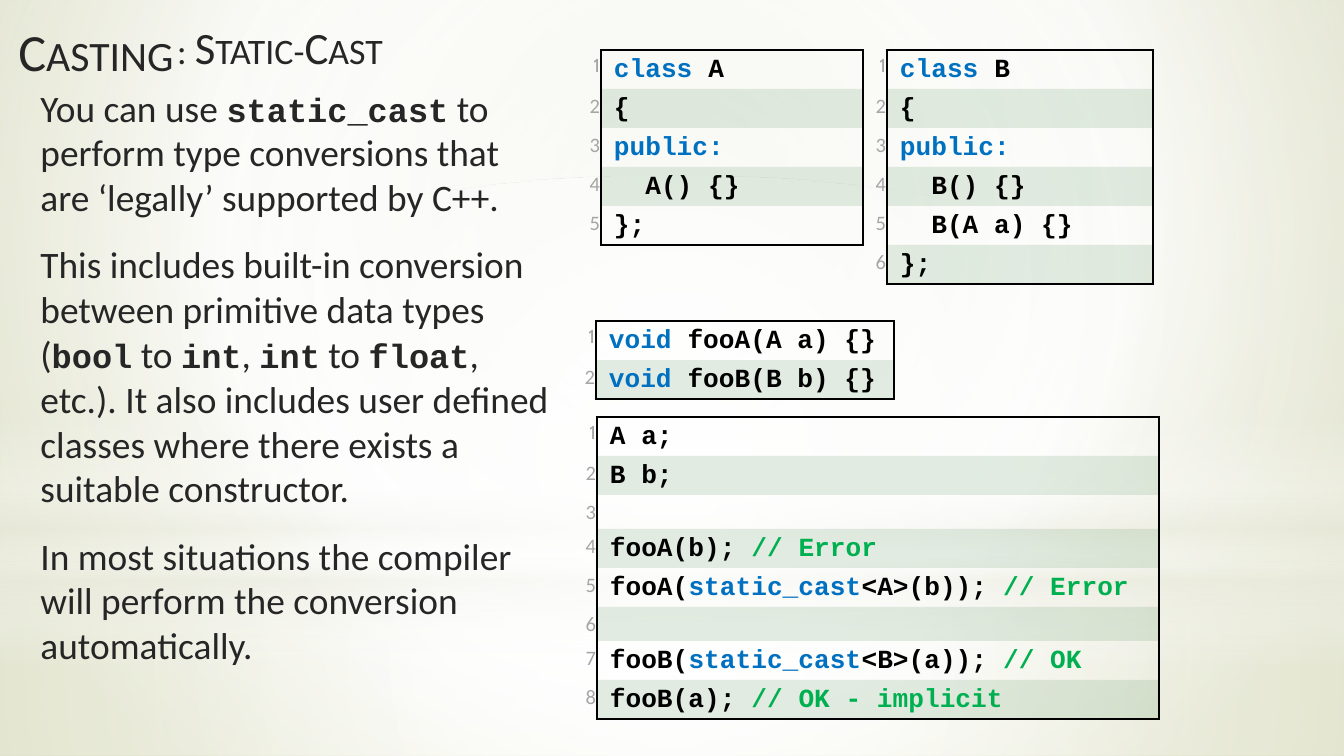
"""Build the slide about static casts, with code listings in tables."""
from dataclasses import dataclass
from typing import NamedTuple, Optional

from lxml.etree import SubElement
from pptx import Presentation
from pptx.dml.color import RGBColor
from pptx.enum.shapes import MSO_SHAPE as Preset
from pptx.enum.text import MSO_ANCHOR as Anchor, MSO_AUTO_SIZE as AutoSize, PP_ALIGN as Align
from pptx.oxml.ns import qn
from pptx.util import Pt

WIDTH, HEIGHT = 1344, 756
SCALE = 9144000 / WIDTH
ROW, EMPTY_ROW, CELL_INSET, CODE_INDENT = 39, 34, 1, 12
PLAIN_TABLE = "{2D5ABB26-0587-4C30-8999-92F81FD0307C}"

WHITE = RGBColor(0xFF, 0xFF, 0xFF)
CREAM = RGBColor(0xEA, 0xEB, 0xDE)
SAGE = RGBColor(0xE3, 0xE5, 0xD1)
OLIVE = RGBColor(0xCC, 0xD0, 0x9F)
GREEN_BAND = RGBColor(0x72, 0xA3, 0x76)
CHARCOAL = RGBColor(0x26, 0x26, 0x26)
BLACK = RGBColor(0, 0, 0)
GRAY = RGBColor(0xA6, 0xA6, 0xA6)
BLUE = RGBColor(0x00, 0x70, 0xC0)
GREEN = RGBColor(0x00, 0xB0, 0x50)


class Box(NamedTuple):
    left: int
    top: int
    width: int
    height: int


class Stop(NamedTuple):
    position: int
    color: RGBColor
    opacity: int = 100


class Gradient(NamedTuple):
    stops: list[Stop]
    focus: Optional[tuple[int, int, int, int]] = (50, 50, 50, 50)


class Glow(NamedTuple):
    preset: Preset
    box: Box
    gradient: Gradient


@dataclass(frozen=True)
class Style:
    font: str
    size: int
    color: RGBColor
    bold: bool = False
    small_caps: bool = False


class Span(NamedTuple):
    text: str
    style: Style


@dataclass(frozen=True)
class Listing:
    left: int
    top: int
    number_width: int
    code_width: int
    lines: list[list[Span]]


TITLE = Style("Calibri", 28, CHARCOAL, small_caps=True)
SUBTITLE = Style("Calibri", 24, CHARCOAL, small_caps=True)
BODY = Style("Calibri", 20, CHARCOAL)
BODY_CODE = Style("Courier New", 18, CHARCOAL, bold=True)
FIRST_NUMBER = Style("Cabin", 10, GRAY)
NUMBER = Style("Calibri", 11, GRAY)
CODE = Style("Courier New", 14, BLACK, bold=True)
KEYWORD = Style("Courier New", 14, BLUE, bold=True)
COMMENT = Style("Courier New", 14, GREEN, bold=True)

BACKGROUND = Gradient([Stop(0, SAGE), Stop(60, WHITE), Stop(100, OLIVE)], (20, 10, 20, 60))
GLOWS = [
    Glow(Preset.RECTANGLE, Box(0, 563, WIDTH, 193),
         Gradient([Stop(0, WHITE, 91), Stop(37, WHITE, 76), Stop(100, CREAM, 79)])),
    Glow(Preset.RECTANGLE, Box(0, 0, WIDTH, 563),
         Gradient([Stop(0, WHITE, 89), Stop(48, WHITE, 62), Stop(100, CREAM, 79)])),
    Glow(Preset.RECTANGLE, Box(0, 415, WIDTH, 253),
         Gradient([Stop(0, WHITE, 0), Stop(29, WHITE, 30), Stop(45, CREAM, 40),
                   Stop(55, WHITE, 26), Stop(65, CREAM, 60), Stop(100, WHITE, 0)], None)),
    Glow(Preset.OVAL, Box(0, 176, WIDTH, 563), Gradient([Stop(0, WHITE), Stop(56, WHITE, 0)])),
]

EXPLANATION = [
    [Span("You can use ", BODY), Span("static_cast", BODY_CODE),
     Span(" to perform type conversions that are ‘legally’ supported by C++.", BODY)],
    [Span("This includes built-in conversion between primitive data types (", BODY),
     Span("bool", BODY_CODE), Span(" to ", BODY), Span("int", BODY_CODE), Span(", ", BODY),
     Span("int", BODY_CODE), Span(" to ", BODY), Span("float", BODY_CODE),
     Span(", etc.). It also includes user defined classes where there exists a "
          "suitable constructor.", BODY)],
    [Span("In most situations the compiler will perform the conversion automatically.", BODY)],
]


def class_lines(name: str, members: list[str]) -> list[list[Span]]:
    """Return the code lines of a class with public members."""
    return [[Span("class", KEYWORD), Span(f" {name}", CODE)], [Span("{", CODE)],
            [Span("public:", KEYWORD)], *([Span(f"  {member}", CODE)] for member in members),
            [Span("};", CODE)]]


def cast_line(function: str, target: str, value: str, remark: str) -> list[Span]:
    """Return a call whose argument is cast to the target class."""
    return [Span(f"{function}(", CODE), Span("static_cast", KEYWORD),
            Span(f"<{target}>({value})); ", CODE), Span(remark, COMMENT)]


LISTINGS = [
    Listing(546, 417, 51, 562, [
        [Span("A a;", CODE)], [Span("B b;", CODE)], [],
        [Span("fooA(b); ", CODE), Span("// Error", COMMENT)],
        cast_line("fooA", "A", "b", "// Error"), [],
        cast_line("fooB", "B", "a", "// OK"),
        [Span("fooB(a); ", CODE), Span("// OK - implicit", COMMENT)]]),
    Listing(577, 50, 24, 262, class_lines("A", ["A() {}"])),
    Listing(863, 50, 24, 266, class_lines("B", ["B() {}", "B(A a) {}"])),
    Listing(566, 321, 30, 298, [[Span("void ", KEYWORD), Span(f"foo{name}({name} {name.lower()}) {{}}", CODE)]
                                for name in "AB"]),
]


def px(length: int) -> int:
    """Turn px into EMU."""
    return round(length * SCALE)


def place(shape, box: Box) -> None:
    """Move and size a shape."""
    shape.left, shape.top, shape.width, shape.height = map(px, box)


def add_spans(paragraph, spans: list[Span]) -> None:
    """Append styled runs to a paragraph."""
    for text, style in spans:
        run = paragraph.add_run()
        run.text = text
        run.font.name, run.font.size, run.font.bold = style.font, Pt(style.size), style.bold
        run.font.color.rgb = style.color
        if style.small_caps:
            run._r.get_or_add_rPr().set("cap", "small")


def set_gradient(fill, owner, gradient: Gradient) -> None:
    """Give a fill the stops and direction of a gradient."""
    fill.gradient()
    element = next(owner.iter(qn("a:gradFill")))
    element.clear()
    stop_list = SubElement(element, qn("a:gsLst"))
    for position, color, opacity in gradient.stops:
        stop = SubElement(stop_list, qn("a:gs"), pos=str(position * 1000))
        tint = SubElement(stop, qn("a:srgbClr"), val=str(color))
        SubElement(tint, qn("a:alpha"), val=str(opacity * 1000))
    if gradient.focus is None:
        SubElement(element, qn("a:lin"), ang="5400000", scaled="0")
    else:
        circle = SubElement(element, qn("a:path"), path="circle")
        sides = {side: str(share * 1000) for side, share in zip("ltrb", gradient.focus)}
        SubElement(circle, qn("a:fillToRect"), **sides)


def add_glow(slide, glow: Glow) -> None:
    """Draw one soft shape of the backdrop."""
    shape = slide.shapes.add_shape(glow.preset, *map(px, glow.box))
    shape.shadow.inherit = False
    shape.line.fill.background()
    set_gradient(shape.fill, shape._element, glow.gradient)


def add_borders(cell, sides: str) -> None:
    """Draw thin black borders on the named sides of a cell."""
    for side in sides:
        line = SubElement(cell._tc.get_or_add_tcPr(), qn(f"a:ln{side}"), w=str(Pt(1)))
        SubElement(SubElement(line, qn("a:solidFill")), qn("a:srgbClr"), val=str(BLACK))


def fill_cell(cell, spans: list[Span]) -> None:
    """Write spans into a cell with narrow margins."""
    cell.margin_left = cell.margin_right = cell.margin_top = cell.margin_bottom = px(CELL_INSET)
    paragraph = cell.text_frame.paragraphs[0]
    paragraph.line_spacing = 1.15
    add_spans(paragraph, spans)
    if not spans:
        SubElement(paragraph._p, qn("a:endParaRPr"), sz=str(NUMBER.size * 100))


def add_listing(slide, listing: Listing) -> None:
    """Draw a numbered code listing as a table."""
    heights = [ROW if line else EMPTY_ROW for line in listing.lines]
    box = Box(listing.left, listing.top, listing.number_width + listing.code_width, sum(heights))
    table = slide.shapes.add_table(len(heights), 2, *map(px, box)).table
    table.first_row = table.horz_banding = False
    table._tbl.tblPr.find(qn("a:tableStyleId")).text = PLAIN_TABLE
    table.columns[0].width, table.columns[1].width = px(listing.number_width), px(listing.code_width)
    for index, (line, height) in enumerate(zip(listing.lines, heights)):
        table.rows[index].height = px(height)
        number, code = table.cell(index, 0), table.cell(index, 1)
        fill_cell(number, [Span(str(index + 1), NUMBER if index else FIRST_NUMBER)])
        number.text_frame.paragraphs[0].alignment = Align.RIGHT
        number.fill.background()
        fill_cell(code, line)
        code.text_frame.paragraphs[0]._p.get_or_add_pPr().set("marL", str(px(CODE_INDENT)))
        add_borders(code, "LR" + "T" * (index == 0) + "B" * (index == len(heights) - 1))
        if index % 2:
            code.fill.solid()
            code.fill.fore_color.rgb = GREEN_BAND
            tint = code._tc.tcPr.find(qn("a:solidFill"))[0]
            SubElement(tint, qn("a:alpha"), val="20000")
        else:
            code.fill.background()


def add_title(slide) -> None:
    """Fill the title placeholder and the text that continues it."""
    title = slide.shapes.title
    slide.shapes._spTree.append(title._element)
    place(title, Box(5, 8, 942, 85))
    title.text_frame.auto_size = AutoSize.NONE
    title.text_frame.vertical_anchor = Anchor.MIDDLE
    paragraph = title.text_frame.paragraphs[0]
    paragraph.alignment = Align.LEFT
    add_spans(paragraph, [Span("Casting", TITLE)])
    subtitle = slide.shapes.add_textbox(*map(px, Box(164, 13, 476, 67)))
    subtitle.text_frame.word_wrap = True
    add_spans(subtitle.text_frame.paragraphs[0], [Span(": Static-Cast", SUBTITLE)])


def add_explanation(slide) -> None:
    """Fill the body placeholder with unbulleted paragraphs."""
    body = slide.placeholders[1]
    slide.shapes._spTree.append(body._element)
    place(body, Box(27, 78, 540, 602))
    frame = body.text_frame
    frame.auto_size = AutoSize.SHAPE_TO_FIT_TEXT
    for index, spans in enumerate(EXPLANATION):
        paragraph = frame.add_paragraph() if index else frame.paragraphs[0]
        paragraph.space_before = Pt(12 if index else 0)
        properties = paragraph._p.get_or_add_pPr()
        properties.set("marL", "0")
        properties.set("indent", "0")
        SubElement(properties, qn("a:buNone"))
        add_spans(paragraph, spans)


def main() -> None:
    """Build and save the presentation."""
    presentation = Presentation()
    presentation.slide_width, presentation.slide_height = px(WIDTH), px(HEIGHT)
    slide = presentation.slides.add_slide(presentation.slide_layouts[1])
    set_gradient(slide.background.fill, slide._element, BACKGROUND)
    for glow in GLOWS:
        add_glow(slide, glow)
    add_title(slide)
    add_explanation(slide)
    for listing in LISTINGS:
        add_listing(slide, listing)
    presentation.save("out.pptx")


if __name__ == "__main__":
    main()
